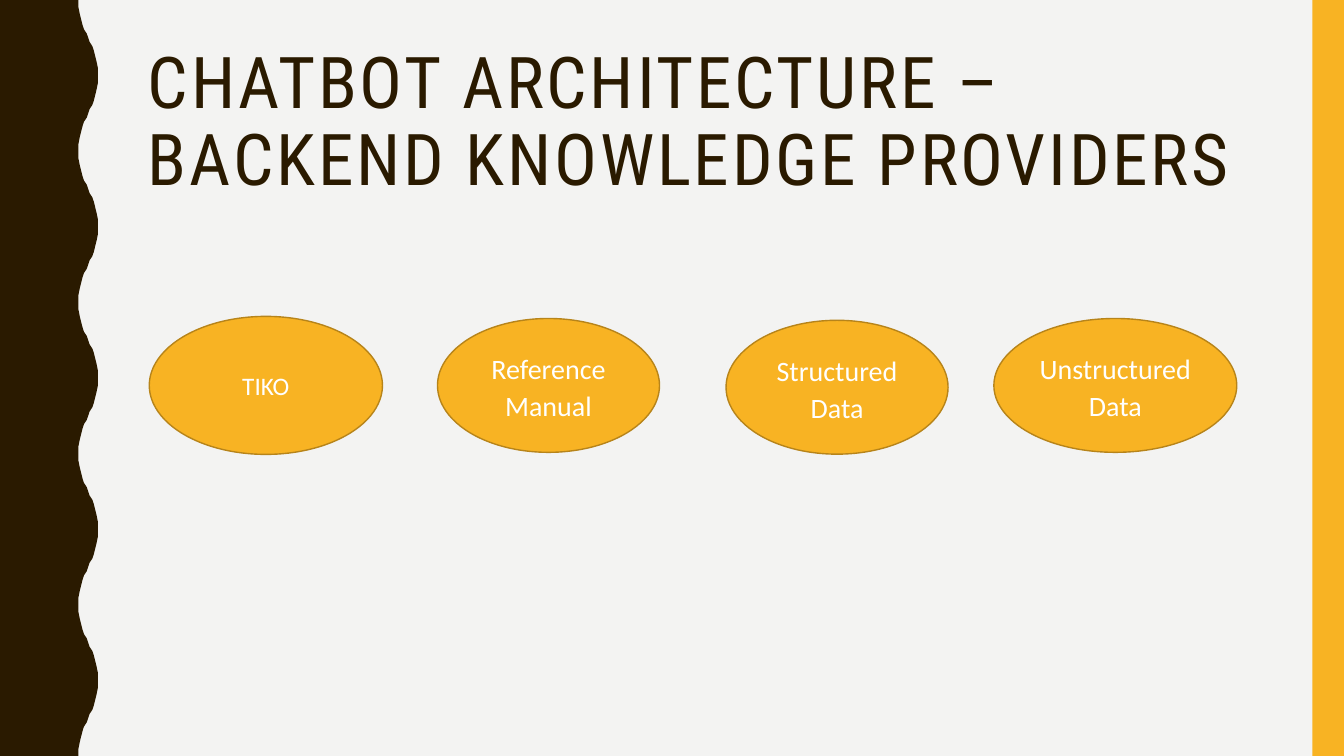
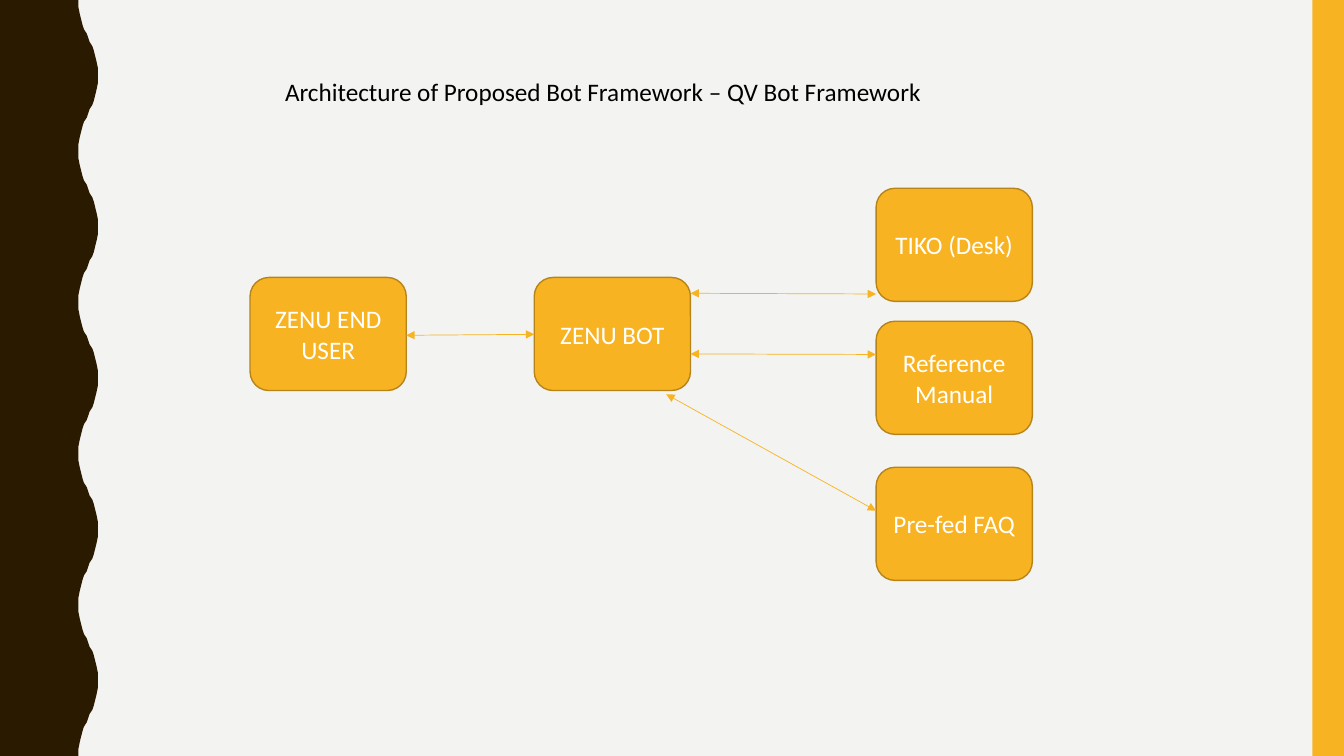
from lxml import etree
from pptx import Presentation
from pptx.dml.color import RGBColor
from pptx.enum.shapes import MSO_CONNECTOR, MSO_SHAPE
from pptx.enum.text import MSO_ANCHOR, PP_ALIGN
from pptx.oxml.ns import qn
from pptx.util import Pt

RECT, OVAL, ROUND = MSO_SHAPE.RECTANGLE, MSO_SHAPE.OVAL, MSO_SHAPE.ROUNDED_RECTANGLE
STRAIGHT = MSO_CONNECTOR.STRAIGHT
LEFT, CENTER = PP_ALIGN.LEFT, PP_ALIGN.CENTER
TOP, MIDDLE = MSO_ANCHOR.TOP, MSO_ANCHOR.MIDDLE

C = {"paper": "F3F3F2", "brown": "2A1A00", "gold": "F8B323",
     "edge": "B7841A", "white": "FFFFFF", "black": "000000"}
C = {name: RGBColor.from_string(value) for name, value in C.items()}

W, H = 960, 540
PERIOD = 108
MID_X = 63
QUARTER = [(-7, 0), (-6.7, 5), (-6.2, 10), (-5.4, 14.4), (-4.4, 18), (-3, 21), (-1.5, 24)]
RISE = QUARTER + [(0, 27)] + [(-dx, PERIOD / 2 - y) for dx, y in reversed(QUARTER)]
WAVE = RISE + [(dx, PERIOD - y) for dx, y in reversed(RISE[1:-1])]

TITLE = {"size": Pt(51), "name": "Roboto Condensed"}
LABEL = {"size": Pt(18), "name": "Calibri"}
LARGE = {"size": Pt(20), "name": "Calibri"}
PLAIN = {"alignment": LEFT}
CENTERED = {"alignment": CENTER}
SPACED = {"alignment": CENTER, "line_spacing": 1.1, "space_before": Pt(7)}
TIGHT = {"alignment": LEFT, "line_spacing": 0.9}


def write(sp, text, font, para, color, anchor):
    tf = sp.text_frame
    tf.word_wrap = True
    tf.vertical_anchor = anchor
    p = tf.paragraphs[0]
    for key, value in para.items():
        setattr(p, key, value)
    r = p.add_run()
    r.text = text
    for key, value in font.items():
        setattr(r.font, key, value)
    r.font.color.rgb = C[color]
    return r


def paint(sp, fill, line=None):
    sp.shadow.inherit = False
    sp.fill.solid()
    sp.fill.fore_color.rgb = C[fill]
    if line:
        sp.line.color.rgb = C[line]
        sp.line.width = Pt(1)
    else:
        sp.line.fill.background()


prs = Presentation()
prs.slide_width, prs.slide_height = Pt(W), Pt(H)
slides = [prs.slides.add_slide(prs.slide_layouts[6]) for _ in range(2)]

for s in slides:
    s.background.fill.solid()
    s.background.fill.fore_color.rgb = C["paper"]
    edge = [(MID_X + dx, n * PERIOD + y) for n in range(H // PERIOD) for dx, y in WAVE]
    edge += [(MID_X + WAVE[0][0], H), (0, H)]
    fb = s.shapes.build_freeform(0, 0, scale=Pt(1))
    fb.add_line_segments(edge, close=True)
    paint(fb.convert_to_shape(), "brown")
    paint(s.shapes.add_shape(RECT, Pt(937.5), 0, Pt(22.5), Pt(H)), "gold")

providers, framework = slides

tb = providers.shapes.add_textbox(Pt(98.6), Pt(30.2), Pt(801.4), Pt(117.4))
r = write(tb, "CHATBOT ARCHITECTURE – BACKEND KNOWLEDGE PROVIDERS", TITLE, TIGHT, "brown", TOP)
r.font._element.set("spc", "200")

tb = framework.shapes.add_textbox(Pt(196.5), Pt(51.1), Pt(691), Pt(29))
write(tb, "Architecture of Proposed Bot Framework – QV Bot Framework", LABEL, PLAIN, "black", TOP)

BOX_W, BOX_H = 111.6, 80.8
USER_X, BOT_X, SOURCE_X = 178.6, 381.6, 625.8
nodes = [
    (providers, OVAL, "TIKO", 106.6, 226, 166.6, 98.6, LABEL, CENTERED),
    (providers, OVAL, "Reference Manual", 312.5, 227.5, 158.6, 95.6, LARGE, SPACED),
    (providers, OVAL, "Structured Data", 518.6, 228.8, 158.6, 95.6, LARGE, SPACED),
    (providers, OVAL, "Unstructured Data", 709.9, 227.5, 173.5, 95.6, LARGE, SPACED),
]
nodes += [
    (framework, ROUND, text, x, y, BOX_W, BOX_H, LABEL, CENTERED)
    for text, x, y in [
        ("ZENU END USER", USER_X, 198.2),
        ("ZENU BOT", BOT_X, 198.2),
        ("TIKO (Desk)", SOURCE_X, 134.5),
        ("Reference Manual", SOURCE_X, 229.5),
        ("Pre-fed FAQ", SOURCE_X, 333.8),
    ]
]
for s, kind, text, x, y, w, h, font, para in nodes:
    sp = s.shapes.add_shape(kind, Pt(x), Pt(y), Pt(w), Pt(h))
    paint(sp, "gold", "edge")
    write(sp, text, font, para, "white", MIDDLE)

arrows = [
    (USER_X + BOX_W, 239.5, BOT_X, 238.8),
    (SOURCE_X, 210, BOT_X + BOX_W, 209.5),
    (SOURCE_X, 253.2, BOT_X + BOX_W, 252.8),
    (SOURCE_X, 364.8, 475.9, 281.6),
]
for ends in arrows:
    cn = framework.shapes.add_connector(STRAIGHT, *[Pt(v) for v in ends])
    cn.line.color.rgb = C["gold"]
    cn.line.width = Pt(0.5)
    ln = cn.line._get_or_add_ln()
    for tag in ("a:headEnd", "a:tailEnd"):
        etree.SubElement(ln, qn(tag), type="triangle")
    etree.SubElement(cn._element.spPr, qn("a:effectLst"))

prs.save("out.pptx")
